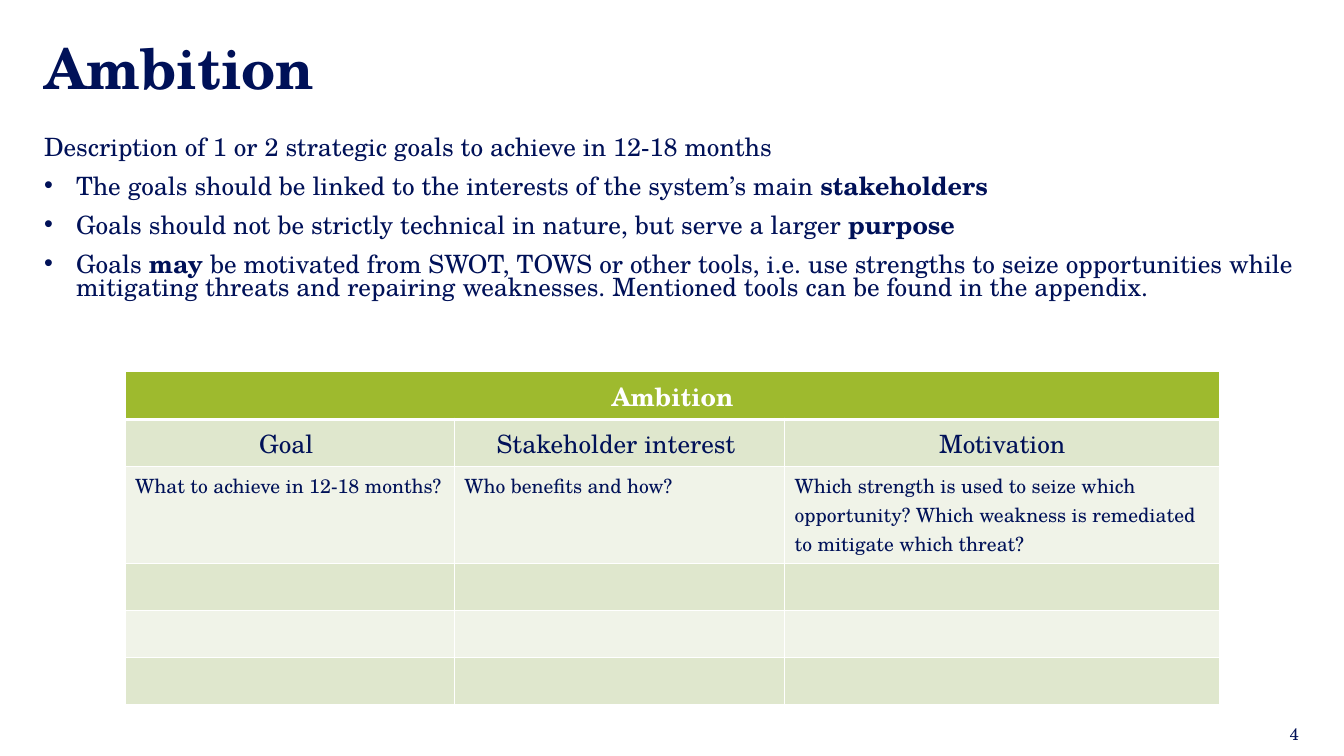
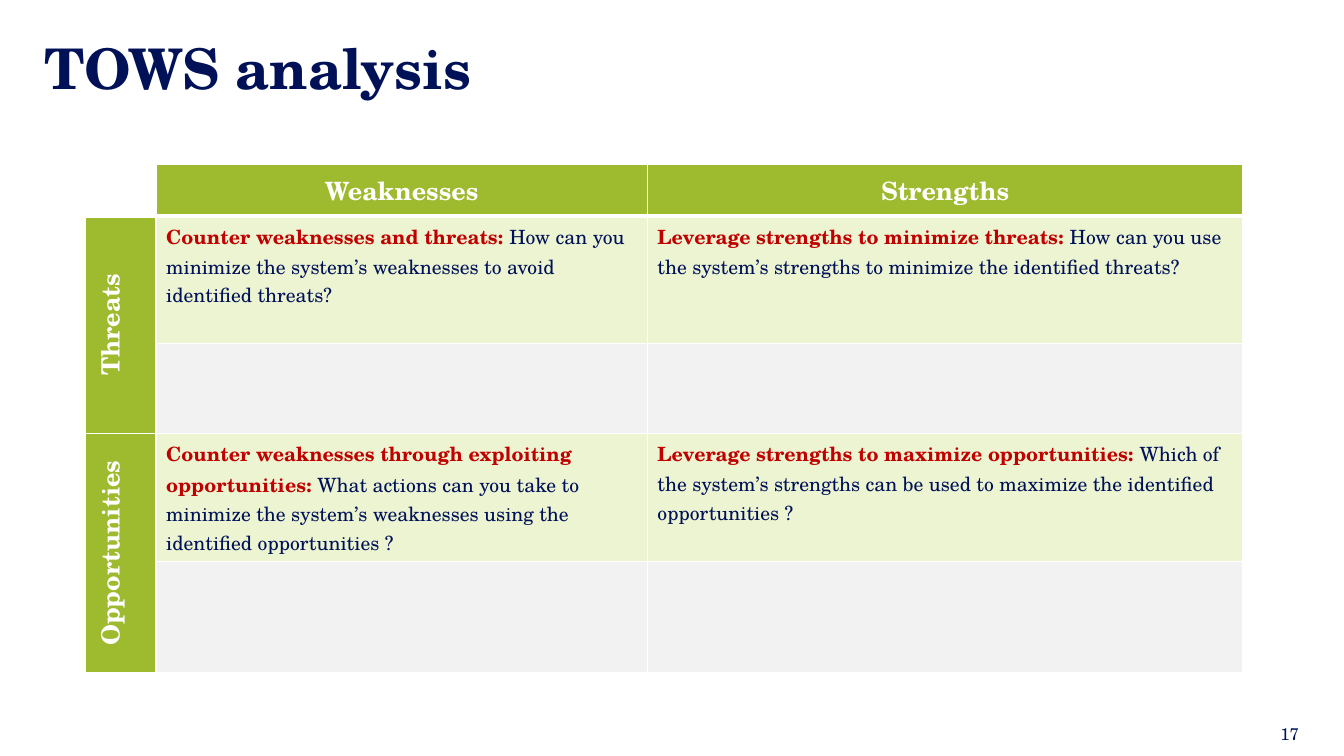
"""Builds two strategy workshop slides: the ambition table and the TOWS matrix."""
from lxml import etree
from pptx import Presentation
from pptx import util as u
from pptx.dml.color import RGBColor
from pptx.enum import text as t
from pptx.oxml.ns import qn

SCALE = 914400 / 100.7
FONT = "TeX Gyre Schola"
COLORS = {
    "navy": "001158",
    "white": "FFFFFF",
    "green": "9EBA2E",
    "sage": "DFE7CD",
    "pale sage": "F0F3E8",
    "lime": "EDF4D2",
    "gray": "F2F2F2",
    "red": "C00000",
}
CENTER = t.PP_ALIGN.CENTER
MIDDLE = t.MSO_ANCHOR.MIDDLE


def px(length):
    """Turn pixels into EMU."""
    return u.Emu(round(length * SCALE))


def rgb(name):
    """Look up a named colour."""
    return RGBColor.from_string(COLORS[name])


def write(paragraph, content, size, color="navy", bold=False, accent="navy"):
    """Fill a paragraph; parts between asterisks are bold in the accent colour."""
    for index, part in enumerate(content.split("*")):
        if not part:
            continue
        emphasised = index % 2 == 1
        run = paragraph.add_run()
        run.text = part
        run.font.name = FONT
        run.font.size = u.Pt(size)
        run.font.bold = bold or emphasised
        run.font.color.rgb = rgb(accent if emphasised else color)


def add_text_box(slide, left, top, width, height, anchor=t.MSO_ANCHOR.TOP):
    """Add a wrapping text box without margins and return its text frame."""
    frame = slide.shapes.add_textbox(px(left), px(top), px(width), px(height)).text_frame
    frame.word_wrap = True
    frame.vertical_anchor = anchor
    frame.margin_left = frame.margin_right = frame.margin_top = frame.margin_bottom = 0
    return frame


def add_titled_slide(presentation, title, number):
    """Add a blank slide with the shared title and page number."""
    slide = presentation.slides.add_slide(presentation.slide_layouts[6])
    title_frame = add_text_box(slide, 44, 44, 1255, 47, MIDDLE)
    write(title_frame.paragraphs[0], title, 40, bold=True)
    number_frame = add_text_box(slide, 1006, 713, 292, 40, MIDDLE)
    number_frame.paragraphs[0].alignment = t.PP_ALIGN.RIGHT
    write(number_frame.paragraphs[0], number, 12)
    return slide


def add_bullet(paragraph):
    """Give a paragraph a round bullet with a hanging indent."""
    properties = paragraph._p.get_or_add_pPr()
    properties.set("marL", str(px(32)))
    properties.set("indent", str(-px(32)))
    etree.SubElement(properties, qn("a:buFont"), typeface="Arial")
    etree.SubElement(properties, qn("a:buChar"), char="•")


def add_description(slide, intro, bullets):
    """Add an introductory line followed by bullets."""
    frame = add_text_box(slide, 44, 138, 1255, 200)
    for index, content in enumerate([intro, *bullets]):
        paragraph = frame.add_paragraph() if index else frame.paragraphs[0]
        paragraph.line_spacing = 0.74
        paragraph.space_before = paragraph.space_after = u.Pt(6)
        if index:
            add_bullet(paragraph)
        write(paragraph, content, 18)


def add_table(slide, left, top, columns, rows):
    """Add a table with the given column widths and row heights."""
    frame = slide.shapes.add_table(
        len(rows), len(columns), px(left), px(top), px(sum(columns)), px(sum(rows)))
    table = frame.table
    table.first_row = table.horz_banding = False
    for column, width in zip(table.columns, columns):
        column.width = px(width)
    for row, height in zip(table.rows, rows):
        row.height = px(height)
    for row_index in range(len(rows)):
        for column_index in range(len(columns)):
            cell = table.cell(row_index, column_index)
            cell.fill.background()
            set_borders(cell, 3 if row_index == 1 else 1, 3 if row_index == 0 else 1)
    return table


def set_borders(cell, top, bottom):
    """Draw white borders, with the top and bottom widths in points."""
    properties = cell._tc.get_or_add_tcPr()
    for index, (side, width) in enumerate(
            [("L", 1), ("R", 1), ("T", top), ("B", bottom)]):
        line = etree.Element(qn("a:ln" + side), w=str(u.Pt(width)))
        fill = etree.SubElement(line, qn("a:solidFill"))
        etree.SubElement(fill, qn("a:srgbClr"), val=COLORS["white"])
        properties.insert(index, line)


def fill_cell(cell, fill, content="", size=14, alignment=None, **style):
    """Colour a cell and write its text."""
    cell.fill.solid()
    cell.fill.fore_color.rgb = rgb(fill)
    paragraph = cell.text_frame.paragraphs[0]
    paragraph.alignment = alignment
    write(paragraph, content, size, **style)


def fill_header(cell, content):
    """Format a green header cell."""
    fill_cell(cell, "green", content, 18, CENTER, color="white", bold=True)
    cell.vertical_anchor = MIDDLE


def build_ambition(presentation):
    """Build the slide on strategic goals."""
    slide = add_titled_slide(presentation, "Ambition", "4")
    add_description(slide, "Description of 1 or 2 strategic goals to achieve in 12-18 months", [
        "The goals should be linked to the interests of the system’s main *stakeholders*",
        "Goals should not be strictly technical in nature, but serve a larger *purpose*",
        "Goals *may* be motivated from SWOT, TOWS or other tools, i.e. use strengths to seize "
        "opportunities while mitigating threats and repairing weaknesses. "
        "Mentioned tools can be found in the appendix.",
    ])
    table = add_table(slide, 125, 371, [329, 330, 435], [48, 47, 97, 47, 47, 47])
    table.cell(0, 0).merge(table.cell(0, 2))
    fill_header(table.cell(0, 0), "Ambition")
    guides = [
        ("Goal ", "What to achieve in 12-18 months?"),
        ("Stakeholder interest ", "Who benefits and how?"),
        ("Motivation", "Which strength is used to seize which opportunity? "
                       "Which weakness is remediated to mitigate which threat?"),
    ]
    for column, (heading, question) in enumerate(guides):
        fill_cell(table.cell(1, column), "sage", heading, 18, CENTER)
        fill_cell(table.cell(2, column), "pale sage", question)
        for row in range(3, 6):
            fill_cell(table.cell(row, column), "sage" if row % 2 else "pale sage")


def build_tows(presentation):
    """Build the slide with the TOWS matrix."""
    slide = add_titled_slide(presentation, "TOWS analysis ", "17")
    table = add_table(slide, 85, 164, [71, 491, 595], [52, 127, 90, 128, 111])
    for column, heading in enumerate(["Weaknesses", "Strengths"], 1):
        fill_header(table.cell(0, column), heading)
    strategies = {
        "Threats": [
            "*Counter weaknesses and threats: *How can you minimize the system’s "
            "weaknesses to avoid identified threats?",
            "*Leverage strengths to minimize threats: *How can you use the system’s "
            "strengths to minimize the identified threats?",
        ],
        "Opportunities": [
            "*Counter weaknesses through exploiting opportunities: *What actions can you take "
            "to minimize the system’s weaknesses using the identified opportunities ?",
            "*Leverage strengths to maximize opportunities: *Which of the system’s "
            "strengths can be used to maximize the identified opportunities ?",
        ],
    }
    for index, (heading, questions) in enumerate(strategies.items()):
        row = 1 + 2 * index
        side = table.cell(row, 0)
        side.merge(table.cell(row + 1, 0))
        fill_header(side, heading)
        side._tc.get_or_add_tcPr().set("vert", "vert270")
        for column, question in enumerate(questions, 1):
            fill_cell(table.cell(row, column), "lime", question, accent="red")
            fill_cell(table.cell(row + 1, column), "gray")


def main():
    """Build and save the presentation."""
    presentation = Presentation()
    presentation.slide_width = px(1343)
    presentation.slide_height = px(755)
    build_ambition(presentation)
    build_tows(presentation)
    presentation.save("out.pptx")


main()
